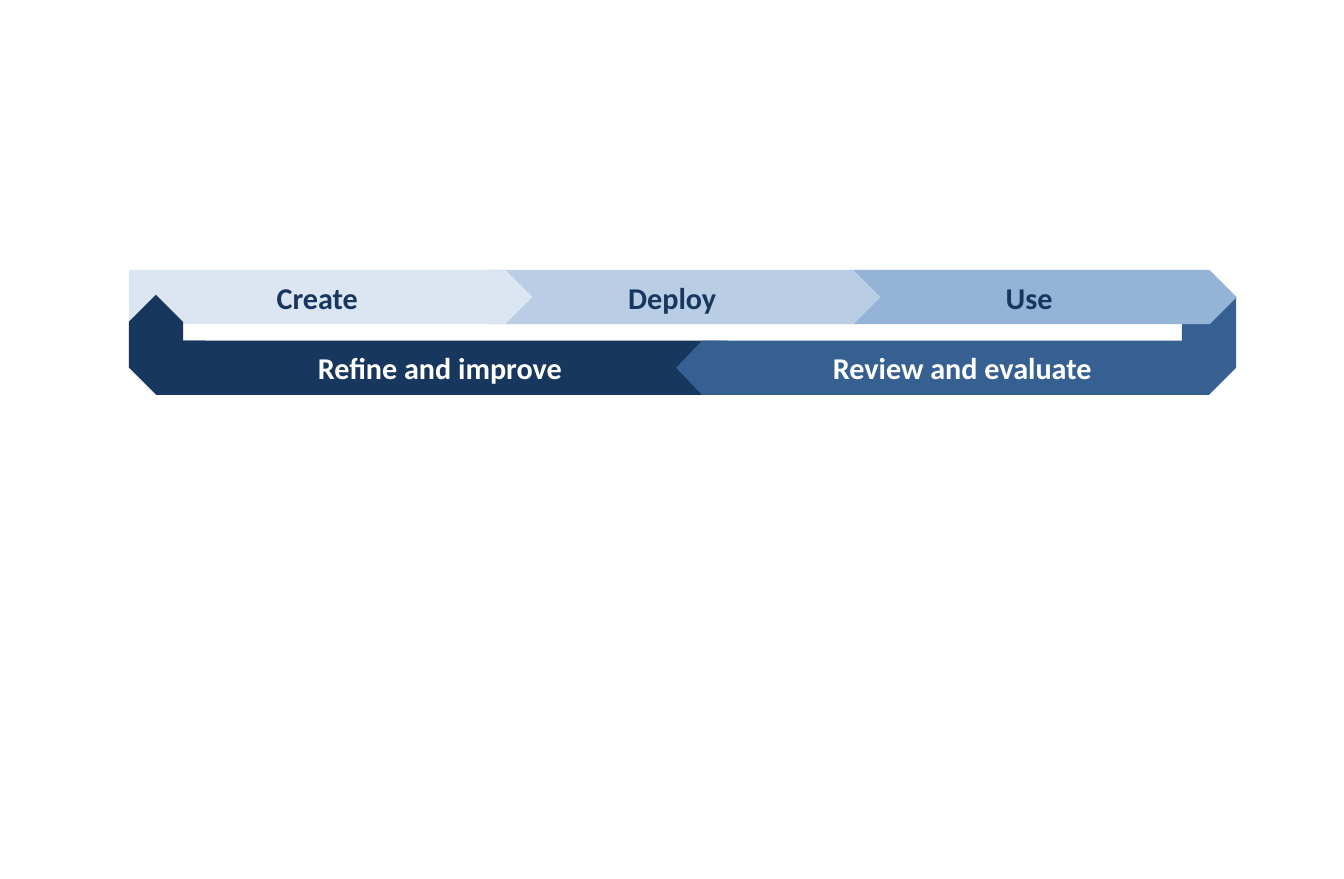
from dataclasses import dataclass

from pptx import Presentation
from pptx.dml.color import RGBColor
from pptx.enum.shapes import MSO_SHAPE
from pptx.enum.text import MSO_ANCHOR, PP_ALIGN
from pptx.slide import Slide
from pptx.text.text import TextFrame
from pptx.util import Pt

RIGHT_ARROW = MSO_SHAPE.RIGHT_ARROW
MIDDLE = MSO_ANCHOR.MIDDLE
CENTER = PP_ALIGN.CENTER


@dataclass(frozen=True)
class Theme:
    create: str = "DCE6F2"
    deploy: str = "B9CDE5"
    use: str = "95B3D7"
    review: str = "376092"
    refine: str = "17375E"
    dark_text: str = "17375E"
    light_text: str = "FFFFFF"
    font: str = "Calibri"
    label_size: float = 21


@dataclass(frozen=True)
class Arrow:
    left: float
    top: float
    width: float
    fill: str
    label: str = ""
    text_color: str = ""
    rotation: int = 0
    head: float = 0.5


THEME = Theme()
BAND = 37.7
TOP_ROW = 188
BOTTOM_ROW = 237.2
LOOP_LEFT = 90

# Arrows of the cycle, from back to front
ARROWS = [
    Arrow(113.76, BOTTOM_ROW, 385.2, THEME.refine, "Refine and improve", THEME.light_text, head=0),
    Arrow(817.2, 212.4, 49.68, THEME.review, rotation=270, head=0),
    Arrow(591, TOP_ROW, 270.3, THEME.use, "Use", THEME.dark_text),
    Arrow(342, TOP_ROW, 271.2, THEME.deploy, "Deploy", THEME.dark_text),
    Arrow(LOOP_LEFT, TOP_ROW, 280.8, THEME.create, "Create", THEME.dark_text),
    Arrow(83.1, 211.9, 51.12, THEME.refine, rotation=270),
    Arrow(498.24, BOTTOM_ROW, 362.7, THEME.review, "Review and evaluate", THEME.light_text),
    Arrow(470.88, BOTTOM_ROW, 36, THEME.review, rotation=180),
    Arrow(LOOP_LEFT, BOTTOM_ROW, 53.28, THEME.refine, rotation=180),
]


def apply_format(target: object, values: dict[str, object]) -> None:
    for name, value in values.items():
        setattr(target, name, value)


def draw_arrow(slide: Slide, arrow: Arrow) -> None:
    shape = slide.shapes.add_shape(
        RIGHT_ARROW, Pt(arrow.left), Pt(arrow.top), Pt(arrow.width), Pt(BAND))
    shape.adjustments[0] = 1
    shape.adjustments[1] = arrow.head
    shape.rotation = arrow.rotation
    shape.shadow.inherit = False
    shape.fill.solid()
    shape.fill.fore_color.rgb = RGBColor.from_string(arrow.fill)
    shape.line.fill.background()
    if arrow.label:
        write_label(shape.text_frame, arrow)


def write_label(text_frame: TextFrame, arrow: Arrow) -> None:
    apply_format(text_frame, {"word_wrap": True, "vertical_anchor": MIDDLE})
    paragraph = text_frame.paragraphs[0]
    paragraph.alignment = CENTER
    run = paragraph.add_run()
    run.text = arrow.label
    apply_format(run.font, {"name": THEME.font, "size": Pt(THEME.label_size), "bold": True})
    run.font.color.rgb = RGBColor.from_string(arrow.text_color)


# Slide
presentation = Presentation()
apply_format(presentation, {"slide_width": Pt(936), "slide_height": Pt(612)})
slide = presentation.slides.add_slide(presentation.slide_layouts[6])

# Cycle
for arrow in ARROWS:
    draw_arrow(slide, arrow)

presentation.save("out.pptx")
